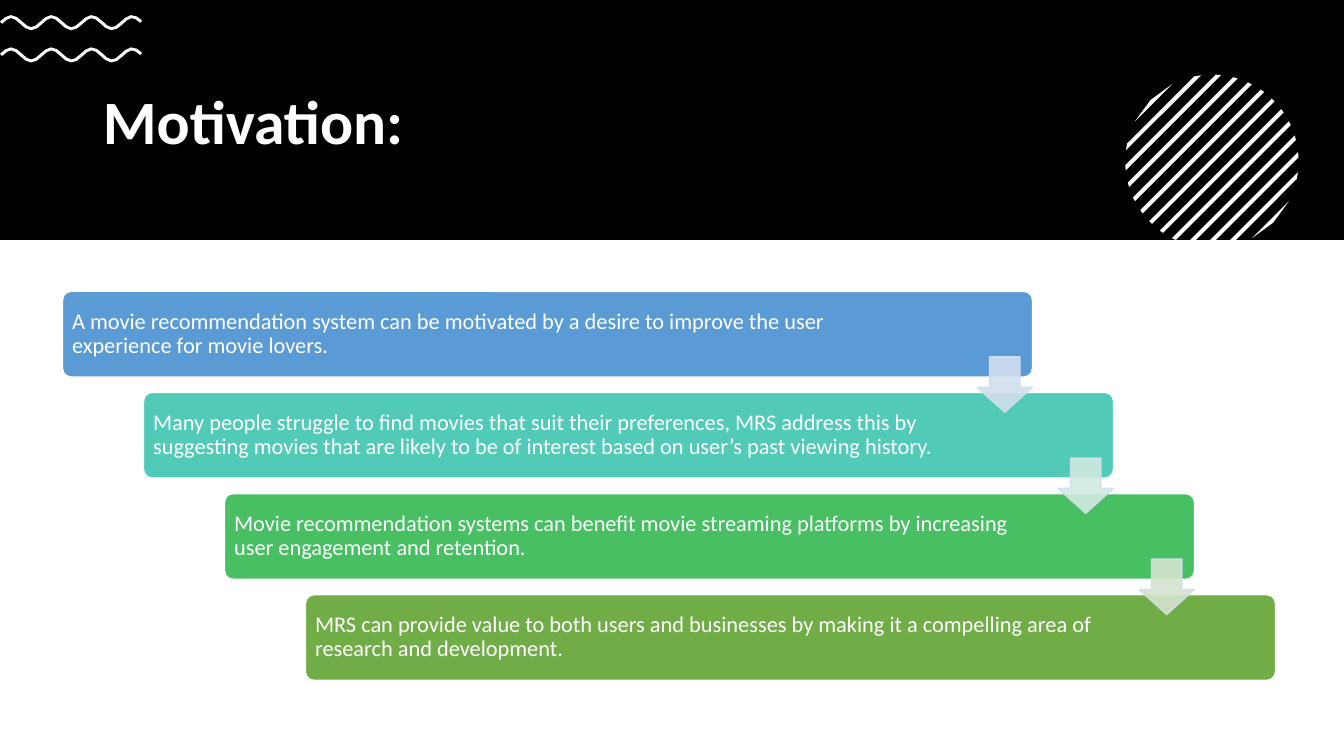
from math import cos, pi, sin, sqrt
from lxml import etree
from pptx import Presentation
from pptx.dml.color import RGBColor
from pptx.enum.shapes import MSO_SHAPE
from pptx.enum.text import MSO_ANCHOR, PP_ALIGN
from pptx.oxml.ns import qn
from pptx.util import Inches, Pt

RECT = MSO_SHAPE.RECTANGLE
ROUND = MSO_SHAPE.ROUNDED_RECTANGLE
DOWN = MSO_SHAPE.DOWN_ARROW
MIDDLE = MSO_ANCHOR.MIDDLE
LEFT = PP_ALIGN.LEFT

TITLE = "Motivation:"
STEPS = [
    ("A movie recommendation system can be motivated by a desire to improve the user experience for movie lovers.", "5B9BD5"),
    ("Many people struggle to find movies that suit their preferences, MRS address this by suggesting movies that are likely to be of interest based on user’s past viewing history.", "52CAB8"),
    ("Movie recommendation systems can benefit movie streaming platforms by increasing user engagement and retention.", "49BF64"),
    ("MRS can provide value to both users and businesses by making it a compelling area of research and development.", "70AD47"),
]
ARROWS = ["D2DEEF", "D0EAE1", "D5E3CF"]
WHITE, BLACK, EDGE = "FFFFFF", "000000", "D2DEEF"
FONT = "Calibri"
BAND = 2.38


def color(code):
    return RGBColor.from_string(code)


def paint(shape, fill, line=None):
    shape.shadow.inherit = False
    shape.fill.solid()
    shape.fill.fore_color.rgb = color(fill)
    if line:
        shape.line.color.rgb = color(line)
        shape.line.width = Pt(1)
    else:
        shape.line.fill.background()


def add(kind, x, y, w, h, fill, line=None):
    shape = slide.shapes.add_shape(kind, Inches(x), Inches(y), Inches(w), Inches(h))
    paint(shape, fill, line)
    return shape


def write(shape, text, size, bold=False):
    frame = shape.text_frame
    frame.text = text
    frame.word_wrap = True
    frame.vertical_anchor = MIDDLE
    para = frame.paragraphs[0]
    para.alignment = LEFT
    para.line_spacing = 0.9
    font = para.runs[0].font
    font.name, font.size, font.bold = FONT, Pt(size), bold
    font.color.rgb = color(WHITE)
    return frame


def trace(points):
    spots = [(Inches(x), Inches(y)) for x, y in points]
    form = slide.shapes.build_freeform(*spots[0], scale=1.0)
    form.add_line_segments(spots[1:], close=True)
    paint(form.convert_to_shape(), WHITE)


def wave(top):
    high, thick, pitch, crest, count = 0.06, 0.03, 0.4, 0.11, 28
    upper, lower = [], []
    for i in range(count + 1):
        x = 0.01 + 1.39 * i / count
        turn = 2 * pi * (x - crest) / pitch
        y = top + thick / 2 + high * (1 - cos(turn))
        slope = high * 2 * pi / pitch * sin(turn)
        size = 2 * sqrt(1 + slope * slope)
        dx, dy = thick * slope / size, thick / size
        upper.append((x + dx, y - dy))
        lower.append((x - dx, y + dy))
    trace(upper + lower[::-1])


def stripe(shift):
    mid_x, mid_y, radius, half = 12.02, 1.6, 0.86, 0.02
    right, left = [], []
    for dist in (shift - half, shift + half):
        chord = sqrt(max(0, radius ** 2 - dist ** 2))
        for side, ends in ((1, right), (-1, left)):
            x = mid_x + (dist + side * chord) / sqrt(2)
            y = mid_y + (dist - side * chord) / sqrt(2)
            over = max(0, y - BAND)
            ends.append((x + over, y - over))
    trace(right + left[::-1])


def fade(shape, alpha):
    for tint in shape.element.spPr.iter(qn("a:srgbClr")):
        etree.SubElement(tint, qn("a:alpha")).set("val", str(alpha * 1000))


deck = Presentation()
deck.slide_width, deck.slide_height = Inches(13.33), Inches(7.5)
slide = deck.slides.add_slide(deck.slide_layouts[5])

title = slide.shapes.title
title.left, title.top = Inches(0.92), Inches(0.62)
title.width, title.height = Inches(11.5), Inches(1.23)
write(title, TITLE, 44, True)
band = add(RECT, 0, 0, 13.33, BAND, BLACK)
title.element.addprevious(band.element)

for top in (0.47, 0.15):
    wave(top)
for k in range(-6, 7):
    stripe(k * 0.14)

X, Y = 0.62, 2.89
DX, DY = 2.41 / 3, 3.01 / 3
for i, (text, fill) in enumerate(STEPS):
    box = add(ROUND, X + i * DX, Y + i * DY, 9.62, 0.85, fill, WHITE)
    box.adjustments[0] = 0.1
    frame = write(box, text, 16)
    frame.margin_left = frame.margin_top = frame.margin_bottom = Inches(0.07)
    frame.margin_right = Inches(1.43)

for i, fill in enumerate(ARROWS):
    arrow = add(DOWN, X + 9.07 + i * DX, Y + 0.65 + i * DY, 0.55, 0.55, fill, EDGE)
    arrow.adjustments[0], arrow.adjustments[1] = 0.55, 0.45
    fade(arrow, 90)

deck.save("out.pptx")
